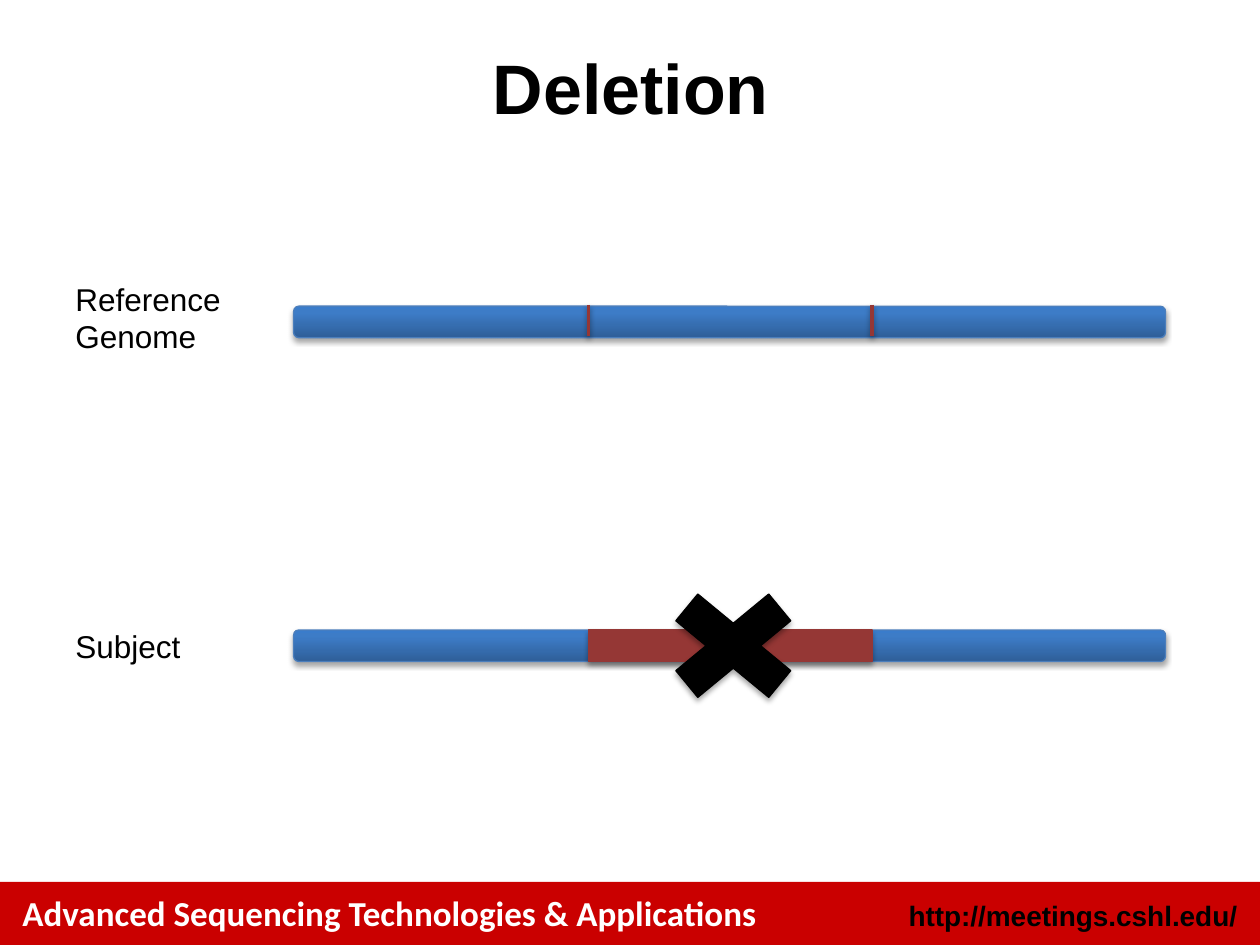
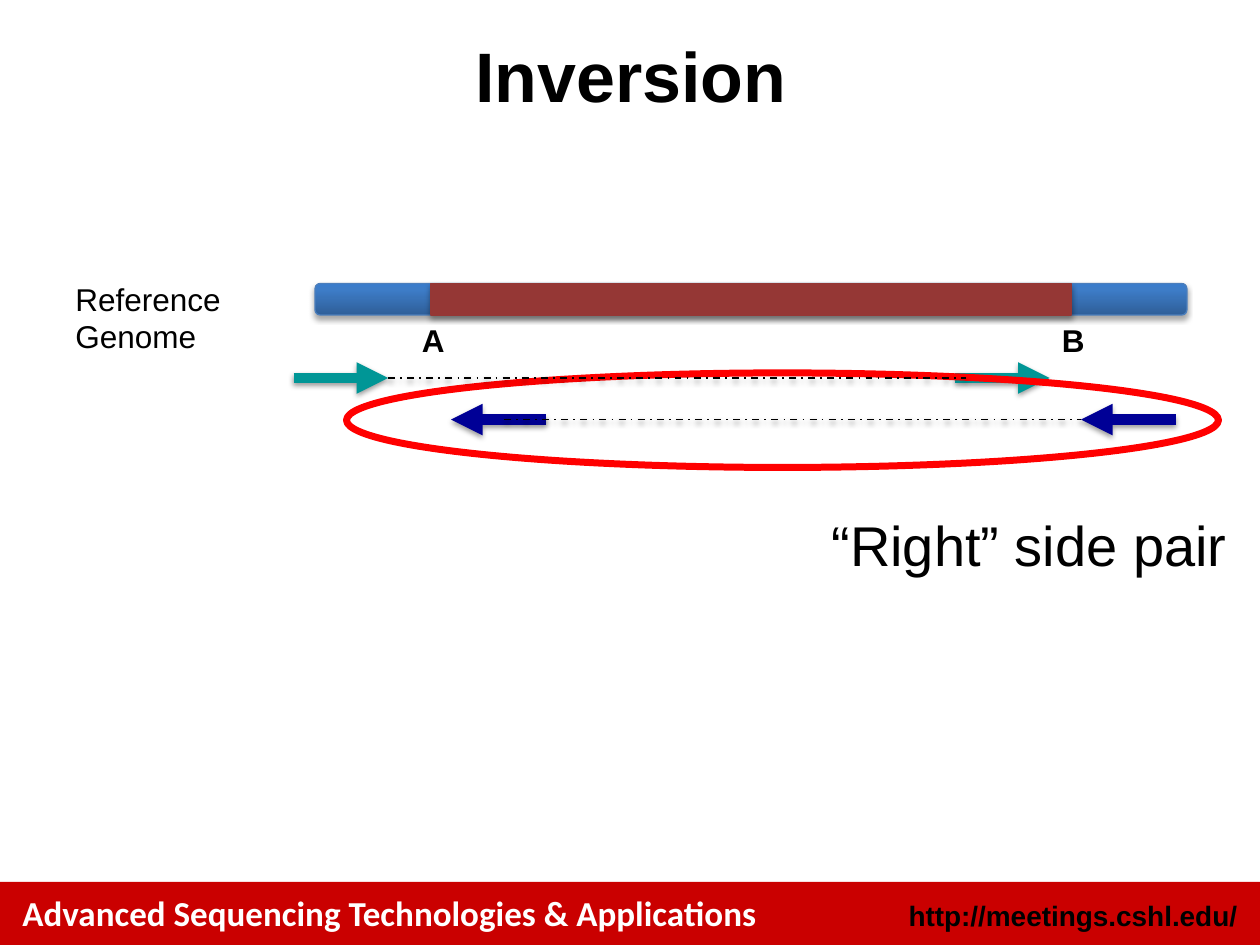
from lxml.etree import SubElement
from pptx import Presentation
from pptx.dml.color import RGBColor
from pptx.enum.dml import MSO_LINE
from pptx.enum.shapes import MSO_CONNECTOR, MSO_SHAPE
from pptx.enum.text import MSO_ANCHOR, MSO_AUTO_SIZE, PP_ALIGN
from pptx.oxml.ns import qn
from pptx.util import Inches, Pt

COLORS = {
    "black": "000000",
    "white": "FFFFFF",
    "band": "CA0000",
    "segment": "953735",
    "genome_edge": "4B7EBC",
    "genome_dark": "2F5F99",
    "genome_mid": "3D7CC7",
    "genome_light": "3A7CCB",
    "forward": "009696",
    "reverse": "000096",
    "highlight": "FF0000",
}
GENOME_STOPS = [(0, "genome_dark"), (80, "genome_mid"), (100, "genome_light")]
GENOME_WIDTH = 6.92
BAR_HEIGHT = 0.25
READ_LENGTH = 0.75
TITLE_ONLY_LAYOUT = 5


def rgb(name):
    return RGBColor.from_string(COLORS[name])


def write(text_frame, text, size=18, font="Arial", color="black", bold=False,
          align=PP_ALIGN.LEFT):
    text_frame.text = text
    paragraph = text_frame.paragraphs[0]
    paragraph.alignment = align
    paragraph.font.size = Pt(size)
    paragraph.font.name = font
    paragraph.font.bold = bold
    paragraph.font.color.rgb = rgb(color)


def add_text(slide, text, left, top, width, height, wrap=True, **text_format):
    box = slide.shapes.add_textbox(
        Inches(left), Inches(top), Inches(width), Inches(height))
    box.text_frame.word_wrap = wrap
    box.text_frame.auto_size = MSO_AUTO_SIZE.SHAPE_TO_FIT_TEXT
    write(box.text_frame, text, **text_format)


def add_shadow(shape, opacity=35, distance=1.8):
    """Drop a soft black shadow straight down; call after fill and line are set."""
    properties = shape.element.spPr
    for old_effects in properties.findall(qn("a:effectLst")):
        properties.remove(old_effects)
    effects = SubElement(properties, qn("a:effectLst"))
    shadow = SubElement(effects, qn("a:outerShdw"), blurRad=str(Pt(3.1)),
                        dist=str(Pt(distance)), dir="5400000", rotWithShape="0")
    color = SubElement(shadow, qn("a:srgbClr"), val=COLORS["black"])
    SubElement(color, qn("a:alpha"), val=str(opacity * 1000))


def add_shape(slide, preset, left, top, width, height, fill=None, line=None,
              line_width=0.75, shadow=True):
    shape = slide.shapes.add_shape(
        preset, Inches(left), Inches(top), Inches(width), Inches(height))
    shape.shadow.inherit = False
    if fill:
        shape.fill.solid()
        shape.fill.fore_color.rgb = rgb(fill)
    else:
        shape.fill.background()
    if line:
        shape.line.color.rgb = rgb(line)
        shape.line.width = Pt(line_width)
    else:
        shape.line.fill.background()
    if shadow:
        add_shadow(shape)
    return shape


def add_genome(slide, left, top):
    bar = add_shape(slide, MSO_SHAPE.ROUNDED_RECTANGLE, left, top,
                    GENOME_WIDTH, BAR_HEIGHT, line="genome_edge")
    bar.fill.gradient()
    bar.fill.gradient_angle = 90
    stops = bar.element.spPr.find(".//" + qn("a:gsLst"))
    stops.clear()
    for position, color in GENOME_STOPS:
        stop = SubElement(stops, qn("a:gs"), pos=str(position * 1000))
        SubElement(stop, qn("a:srgbClr"), val=COLORS[color])


def add_segment(slide, left, top, width):
    add_shape(slide, MSO_SHAPE.RECTANGLE, left, top, width, BAR_HEIGHT,
              fill="segment", line="segment")


def add_line(slide, start, end, color, width, dash=None, arrow=False):
    connector = slide.shapes.add_connector(
        MSO_CONNECTOR.STRAIGHT, *[Inches(value) for value in start + end])
    connector.line.color.rgb = rgb(color)
    connector.line.width = Pt(width)
    if dash:
        connector.line.dash_style = dash
    if arrow:
        line_properties = connector.element.spPr.find(qn("a:ln"))
        SubElement(line_properties, qn("a:tailEnd"), type="triangle")
    add_shadow(connector, opacity=38, distance=1.6)


def add_read(slide, start, y, direction, color):
    add_line(slide, (start, y), (start + direction * READ_LENGTH, y), color, 6,
             arrow=True)


def add_mate_link(slide, start, end, y):
    add_line(slide, (start, y), (end, y), "black", 1, dash=MSO_LINE.DASH_DOT)


def add_base_slide(presentation, title, title_top):
    """Add a slide with the shared title style and footer band."""
    slide = presentation.slides.add_slide(
        presentation.slide_layouts[TITLE_ONLY_LAYOUT])
    add_shape(slide, MSO_SHAPE.RECTANGLE, 0, 7, 10, 0.5, fill="band",
              shadow=False)
    add_text(slide, "Advanced Sequencing Technologies & Applications",
             0.08, 7.03, 7.33, 0.43, size=20, font="Calibri", color="white",
             bold=True)
    add_text(slide, "http://meetings.cshl.edu/", 6.75, 7.08, 3.17, 0.37,
             size=16, bold=True, align=PP_ALIGN.RIGHT)
    heading = slide.shapes.title
    heading.left, heading.top = Inches(0.17), Inches(title_top)
    heading.width, heading.height = Inches(9.67), Inches(1.25)
    heading.text_frame.vertical_anchor = MSO_ANCHOR.MIDDLE
    write(heading.text_frame, title, size=40, bold=True, align=PP_ALIGN.CENTER)
    add_text(slide, "Reference Genome", 0.5, 2.17, 1.42, 0.71)
    return slide


def build_deletion(presentation):
    slide = add_base_slide(presentation, "Deletion", 0.06)
    genome_left, subject_top = 2.33, 5
    deletion_start, deletion_end = 4.67, 6.92
    add_genome(slide, genome_left, 2.43)
    add_genome(slide, genome_left, subject_top)
    add_segment(slide, deletion_start, subject_top,
                deletion_end - deletion_start)
    add_text(slide, "Subject", 0.5, 4.93, 1.42, 0.4)
    add_shape(slide, MSO_SHAPE.MATH_MULTIPLY, 5.11, 4.54, 1.42, 1.17,
              fill="black", line="black")
    for breakpoint_x in (deletion_start, deletion_end):
        add_line(slide, (breakpoint_x, 2.42), (breakpoint_x, 2.67),
                 "segment", 2)


def build_inversion(presentation):
    slide = add_base_slide(presentation, "Inversion", -0.03)
    genome_top, forward_y, reverse_y = 2.25, 3, 3.33
    add_genome(slide, 2.5, genome_top)
    add_segment(slide, 3.42, genome_top, 5.08)
    for label, left in (("A", 3.25), ("B", 8.33)):
        add_text(slide, label, left, 2.5, 0.38, 0.4, wrap=False, bold=True)
    for start in (2.33, 7.58):
        add_read(slide, start, forward_y, 1, "forward")
    for start in (9.33, 4.33):
        add_read(slide, start, reverse_y, -1, "reverse")
    add_text(slide, "“Right” side pair", 6.5, 4, 3.37, 0.64, wrap=False, size=32)
    add_shape(slide, MSO_SHAPE.OVAL, 2.75, 2.96, GENOME_WIDTH, 0.75,
              line="highlight", line_width=4, shadow=False)
    add_mate_link(slide, 3.08, 7.67, forward_y)
    add_mate_link(slide, 4, 8.58, reverse_y)


def main():
    presentation = Presentation()
    presentation.slide_width = Inches(10)
    presentation.slide_height = Inches(7.5)
    build_deletion(presentation)
    build_inversion(presentation)
    presentation.save("out.pptx")


if __name__ == "__main__":
    main()
